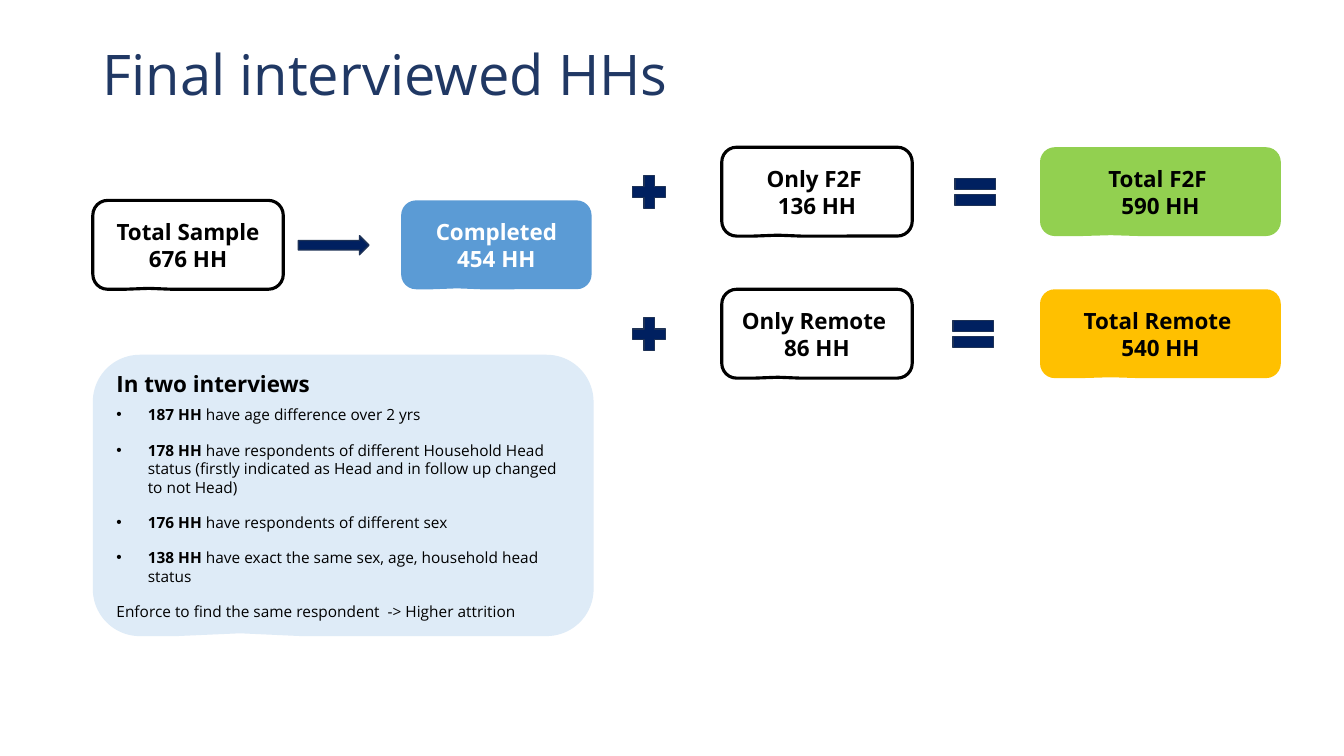
from lxml.etree import SubElement
from pptx import Presentation
from pptx.dml.color import RGBColor
from pptx.enum.shapes import MSO_SHAPE
from pptx.enum.text import MSO_ANCHOR, PP_ALIGN
from pptx.oxml.ns import qn
from pptx.util import Cm, Pt

NAVY, EDGE, BLACK, WHITE = "002060", "1E3256", "000000", "FFFFFF"
LEFT, BOX, WIDE, TALL = 2.34, 4.8, 6.07, 2.24
TOP, MID, LOW = 3.71, 5.05, 7.29

# label, count, left, top, width, fill, text colour, line colour
BOXES = [
    ("Total Sample", "676 HH", LEFT, MID, BOX, WHITE, BLACK, BLACK),
    ("Completed", "454 HH", 10.11, MID, BOX, "5B9BD5", WHITE, None),
    ("Only F2F ", "136 HH", 18.19, TOP, BOX, WHITE, BLACK, BLACK),
    ("Only Remote ", "86 HH", 18.19, LOW, BOX, WHITE, BLACK, BLACK),
    ("Total F2F ", "590 HH", 26.21, TOP, WIDE, "92D050", BLACK, None),
    ("Total Remote ", "540 HH", 26.21, LOW, WIDE, "FFC000", BLACK, None),
]

FACTS = [
    ("187 HH ", "have age difference over 2 yrs"),
    ("178 HH ", "have respondents of different Household Head status "
     "(firstly indicated as Head and in follow up changed to not Head)"),
    ("176 HH ", "have respondents of different sex"),
    ("138 HH", " have exact the same sex, age, household head status"),
]


def color(text):
    return RGBColor.from_string(text)


def style(item, **values):
    for name, value in values.items():
        setattr(item, name, value)


def add_run(para, text, size, tone=BLACK, bold=False):
    run = para.add_run()
    run.text = text
    style(run.font, name="Open Sans", size=Pt(size), bold=bold)
    run.font.color.rgb = color(tone)


def add_bullet(para):
    props = para._p.get_or_add_pPr()
    props.set("marL", str(Cm(0.79)))
    props.set("indent", str(-Cm(0.79)))
    SubElement(props, qn("a:buFont"), typeface="Arial")
    SubElement(props, qn("a:buChar"), char="•")


def add_shape(slide, kind, place, fill, line=None, width=1):
    shape = slide.shapes.add_shape(kind, *map(Cm, place))
    shape.shadow.inherit = False
    shape.fill.solid()
    shape.fill.fore_color.rgb = color(fill)
    if line:
        shape.line.color.rgb = color(line)
        shape.line.width = Pt(width)
    else:
        shape.line.fill.background()
    return shape


def add_card(slide, place, fill, line=None):
    """Add a rounded callout whose tip stays inside; return its text frame."""
    kind = MSO_SHAPE.ROUNDED_RECTANGULAR_CALLOUT
    card = add_shape(slide, kind, place, fill, line, 2.25)
    for index, value in enumerate((-0.206, 0.49, 0.167)):
        card.adjustments[index] = value
    style(card.text_frame, word_wrap=True, vertical_anchor=MSO_ANCHOR.MIDDLE)
    return card.text_frame


def add_box(slide, label, count, left, top, width, fill, tone, line):
    frame = add_card(slide, (left, top, width, TALL), fill, line)
    for para, text in ((frame.paragraphs[0], label),
                       (frame.add_paragraph(), count)):
        para.alignment = PP_ALIGN.CENTER
        add_run(para, text, 16, tone, True)


def add_title(slide, text):
    box = slide.shapes.add_textbox(*map(Cm, (LEFT, 0.36, 29.21, 3.2)))
    frame = box.text_frame
    style(frame, word_wrap=True, vertical_anchor=MSO_ANCHOR.MIDDLE)
    para = frame.paragraphs[0]
    para.line_spacing = 0.9
    add_run(para, text, 40, "203864")


def add_panel(slide):
    frame = add_card(slide, (LEFT, 8.94, 12.62, 7.09), "DEEBF7")
    head = frame.paragraphs[0]
    head.alignment = PP_ALIGN.LEFT
    add_run(head, "In two interviews", 16, bold=True)
    closing = "Enforce to find the same respondent  -> Higher attrition"
    for count, text in FACTS + [("", closing)]:
        para = frame.add_paragraph()
        style(para, alignment=PP_ALIGN.LEFT, space_before=Pt(6),
              space_after=Pt(6))
        if count:
            add_bullet(para)
            add_run(para, count, 11, bold=True)
        add_run(para, text, 11)


def add_signs(slide):
    add_shape(slide, MSO_SHAPE.RIGHT_ARROW, (7.52, 5.94, 1.78, 0.48),
              NAVY, EDGE)
    for top, left in ((TOP, 23.88), (LOW, 23.83)):
        row = top + 0.56
        add_shape(slide, MSO_SHAPE.MATH_PLUS, (15.8, row, 1.12, 1.14),
                  NAVY, EDGE)
        add_shape(slide, MSO_SHAPE.MATH_EQUAL, (left, row, 1.4, 1.14),
                  NAVY, EDGE)


def main():
    deck = Presentation()
    style(deck, slide_width=Cm(33.87), slide_height=Cm(19.05))
    slide = deck.slides.add_slide(deck.slide_layouts[6])
    add_title(slide, "Final interviewed HHs")
    for box in BOXES:
        add_box(slide, *box)
    add_signs(slide)
    add_panel(slide)
    deck.save("out.pptx")


if __name__ == "__main__":
    main()
